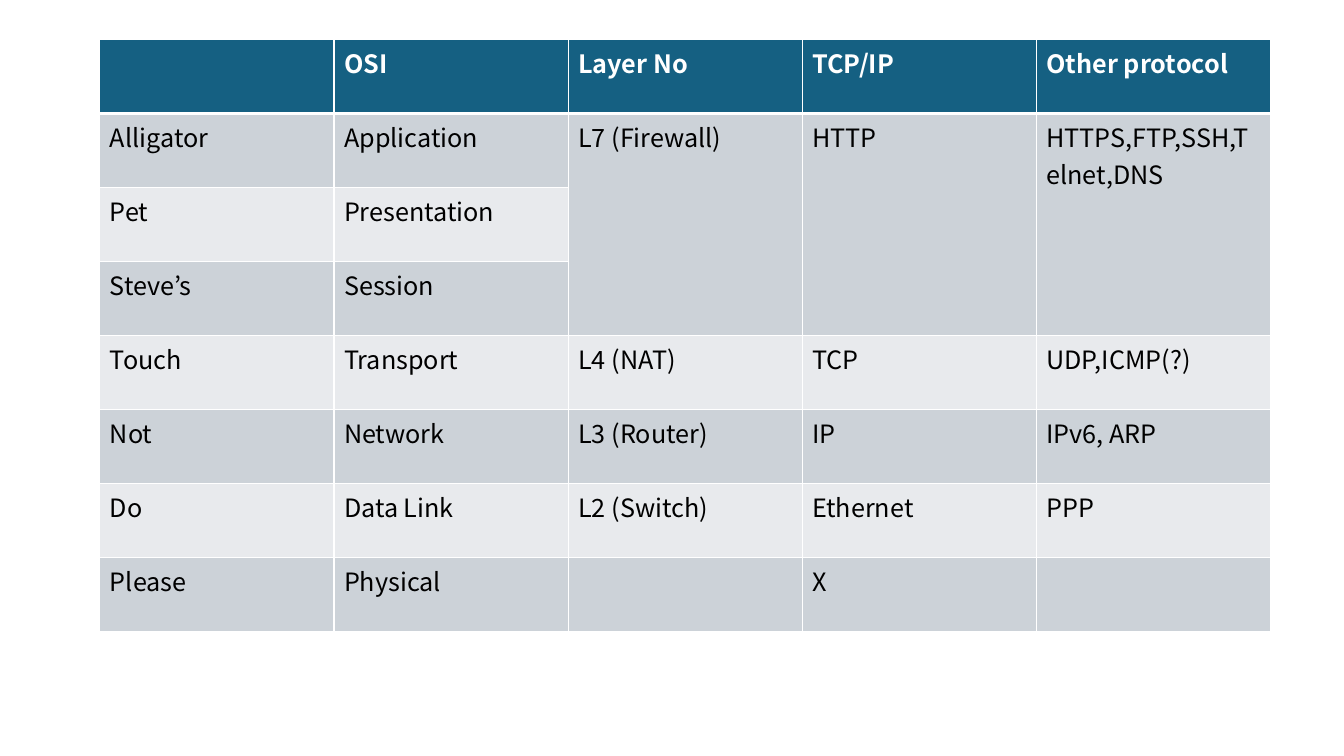
from dataclasses import dataclass

from lxml.etree import SubElement
from pptx import Presentation
from pptx.dml.color import RGBColor
from pptx.oxml.ns import qn
from pptx.table import Table, _Cell
from pptx.util import Inches, Pt

WIDE, HIGH = Inches(13.33), Inches(7.5)
LEFT, TOP, SPAN, DEPTH = 0.0743, 0.052, 0.871, 0.784
FONT = "Noto Sans CJK KR"
WHITE, BLACK, TEAL = "FFFFFF", "000000", "156082"
BANDS = ("CCD2D8", "E8EAED")
MERGED = (2, 3, 4)


@dataclass
class Row:
    texts: tuple[str, ...]
    fill: str
    ink: str = BLACK
    bold: bool = False
    top: float = 1
    base: float = 1


HEAD = ("", "OSI", "Layer No", "TCP/IP", "Other protocol")
LAYERS = (
    ("Alligator", "Application", "L7 (Firewall)", "HTTP", "HTTPS,FTP,SSH,Telnet,DNS"),
    ("Pet", "Presentation", "", "", ""),
    ("Steve’s", "Session", "", "", ""),
    ("Touch", "Transport", "L4 (NAT)", "TCP", "UDP,ICMP(?)"),
    ("Not", "Network", "L3 (Router)", "IP", "IPv6, ARP"),
    ("Do", "Data Link", "L2 (Switch)", "Ethernet", "PPP"),
    ("Please", "Physical", "", "X", ""),
)


def color(code: str) -> RGBColor:
    return RGBColor.from_string(code)


def edge(cell: _Cell, side: str, width: float) -> None:
    line = SubElement(cell._tc.get_or_add_tcPr(), qn(f"a:ln{side}"), w=str(Pt(width)))
    fill = SubElement(line, qn("a:solidFill"))
    SubElement(fill, qn("a:srgbClr"), val=WHITE)


def draw(cell: _Cell, text: str, row: Row) -> None:
    for side, width in (("L", 1), ("R", 1), ("T", row.top), ("B", row.base)):
        edge(cell, side, width)
    cell.fill.solid()
    cell.fill.fore_color.rgb = color(row.fill)
    if text:
        run = cell.text_frame.paragraphs[0].add_run()
        run.text = text
        run.font.name = FONT
        run.font.size = Pt(18)
        run.font.bold = row.bold
        run.font.color.rgb = color(row.ink)


def fill_grid(grid: Table, rows: list[Row]) -> None:
    for r, row in enumerate(rows):
        for c, text in enumerate(row.texts):
            draw(grid.cell(r, c), text, row)
    for c in MERGED:
        grid.cell(1, c).merge(grid.cell(3, c))


def main() -> None:
    deck = Presentation()
    deck.slide_width, deck.slide_height = WIDE, HIGH
    slide = deck.slides.add_slide(deck.slide_layouts[6])
    rows = [Row(HEAD, TEAL, WHITE, True, base=3)]
    for n, texts in enumerate(LAYERS):
        rows.append(Row(texts, BANDS[n % 2], top=1 if n else 3))
    frame = slide.shapes.add_table(
        len(rows), len(HEAD),
        int(LEFT * WIDE), int(TOP * HIGH), int(SPAN * WIDE), int(DEPTH * HIGH),
    )
    fill_grid(frame.table, rows)
    deck.save("out.pptx")


if __name__ == "__main__":
    main()
